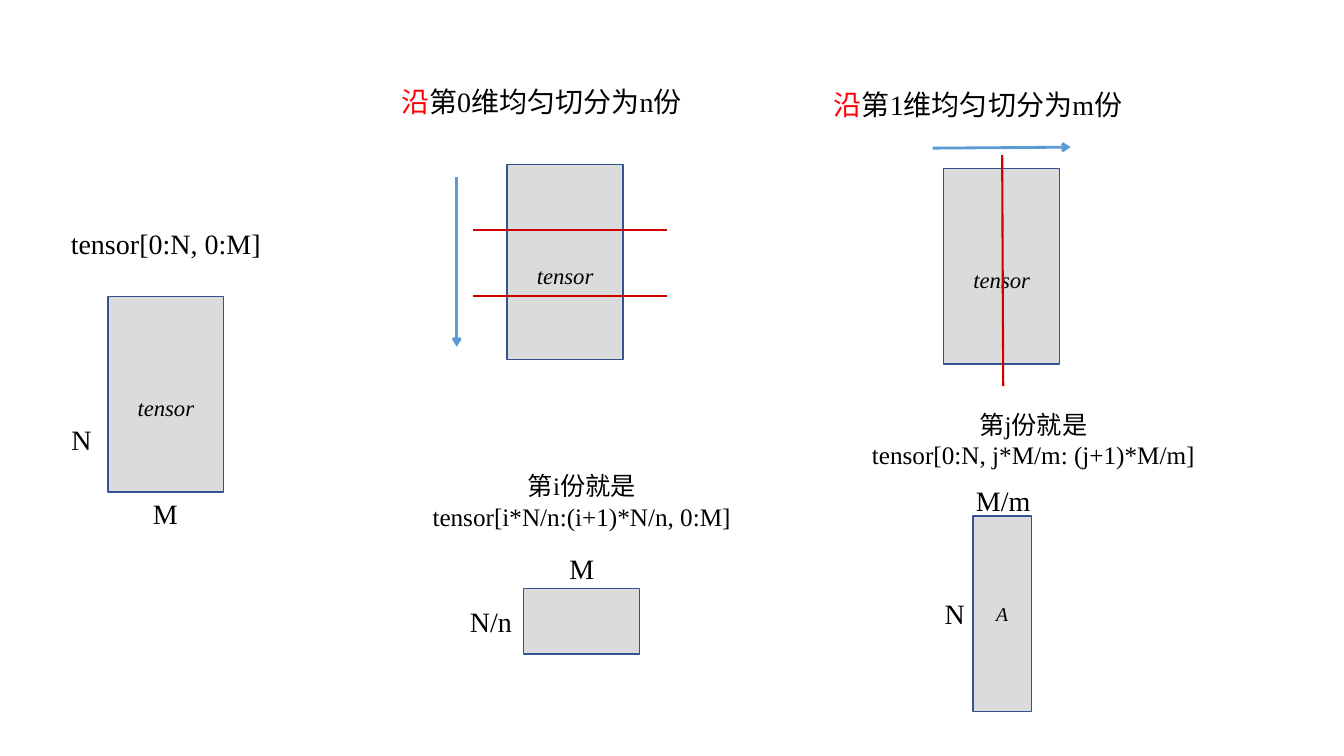
from dataclasses import dataclass

from pptx import Presentation
from pptx import util as u
from pptx.dml.color import RGBColor
from pptx.enum import shapes, text
from pptx.oxml import parse_xml
from pptx.oxml.ns import nsdecls

PX = 9144


@dataclass(frozen=True)
class Theme:
    font: str = "Times New Roman"
    ink: str = "000000"
    accent: str = "FF0000"
    box_fill: str = "DBDBDB"
    box_line: str = "325491"
    cut: str = "CC0000"
    arrow: str = "5B9BD5"
    label_size: int = 20
    caption_size: int = 18
    tensor_size: int = 28
    part_size: int = 14


@dataclass(frozen=True)
class Box:
    x: int
    y: int
    w: int = 115
    h: int = 194
    name: str = ""
    size: int = 0
    baseline: int = 0


@dataclass(frozen=True)
class Label:
    center: int
    y: int
    words: str
    lead: str = ""
    w: int = 80
    h: int = 44
    size: int = 20
    wrap: bool = True


@dataclass(frozen=True)
class Line:
    x1: int
    y1: int
    x2: int
    y2: int
    color: str
    width: float
    arrow: bool = False


THEME = Theme()


def px(n: int) -> u.Emu:
    return u.Emu(n * PX)


def rgb(color: str) -> RGBColor:
    return RGBColor.from_string(color)


def style(p, size: int, italic: bool = False) -> None:
    p.alignment = text.PP_ALIGN.CENTER
    p.font.name = THEME.font
    p.font.size = u.Pt(size)
    p.font.italic = italic
    p.font.color.rgb = rgb(THEME.ink)


def draw_box(s, box: Box) -> None:
    sp = s.shapes.add_shape(
        shapes.MSO_SHAPE.RECTANGLE, px(box.x), px(box.y), px(box.w), px(box.h)
    )
    sp.shadow.inherit = False
    sp.fill.solid()
    sp.fill.fore_color.rgb = rgb(THEME.box_fill)
    sp.line.color.rgb = rgb(THEME.box_line)
    sp.line.width = u.Pt(1)
    if not box.name:
        return
    tf = sp.text_frame
    tf.vertical_anchor = text.MSO_ANCHOR.MIDDLE
    p = tf.paragraphs[0]
    style(p, box.size, italic=True)
    r = p.add_run()
    r.text = box.name
    r.font.color.rgb = rgb(THEME.ink)
    if box.baseline:
        r.font._element.set("baseline", str(box.baseline * 1000))


def draw_label(s, label: Label) -> None:
    sp = s.shapes.add_textbox(
        px(label.center - label.w // 2), px(label.y), px(label.w), px(label.h)
    )
    tf = sp.text_frame
    tf.word_wrap = label.wrap
    p = tf.paragraphs[0]
    style(p, label.size)
    if label.lead:
        r = p.add_run()
        r.text = label.lead
        r.font.color.rgb = rgb(THEME.accent)
    for i, words in enumerate(label.words.split("\n")):
        if i:
            p.add_line_break()
        p.add_run().text = words


def draw_line(s, line: Line) -> None:
    c = s.shapes.add_connector(
        shapes.MSO_CONNECTOR.STRAIGHT,
        px(line.x1), px(line.y1), px(line.x2), px(line.y2),
    )
    c.line.color.rgb = rgb(line.color)
    c.line.width = u.Pt(line.width)
    if line.arrow:
        ln = c.line._get_or_add_ln()
        ln.append(parse_xml(f'<a:tailEnd {nsdecls("a")} type="arrow"/>'))
    c._element.spPr.append(parse_xml(f'<a:effectLst {nsdecls("a")}/>'))


def tensor(x: int, y: int) -> Box:
    return Box(x, y, name="tensor", size=THEME.tensor_size, baseline=-25)


def heading(center: int, y: int, words: str) -> Label:
    return Label(center, y, words, lead="沿", w=400, size=THEME.label_size)


def caption(center: int, y: int, w: int, words: str) -> Label:
    return Label(center, y, words, w=w, h=71, size=THEME.caption_size, wrap=False)


BOXES = [
    tensor(107, 294),
    tensor(503, 163),
    tensor(936, 167),
    Box(519, 584, h=65),
    Box(965, 512, w=58, name="A", size=THEME.part_size),
]

LABELS = [
    Label(164, 220, "tensor[0:N, 0:M]", w=255),
    Label(81, 414, "N"),
    Label(164, 488, "M"),
    heading(537, 79, "第0维均匀切分为n份"),
    caption(577, 462, 316, "第i份就是\ntensor[i*N/n:(i+1)*N/n, 0:M]"),
    Label(487, 595, "N/n"),
    Label(577, 542, "M"),
    heading(970, 82, "第1维均匀切分为m份"),
    caption(1025, 401, 340, "第j份就是\ntensor[0:N, j*M/m: (j+1)*M/m]"),
    Label(995, 475, "M/m"),
    Label(947, 587, "N"),
]

LINES = [
    Line(453, 176, 453, 344, THEME.arrow, 2, arrow=True),
    Line(925, 147, 1062, 146, THEME.arrow, 2, arrow=True),
    *(Line(469, y, 662, y, THEME.cut, 1.5) for y in (228, 294)),
    Line(994, 154, 995, 383, THEME.cut, 1.5),
]


def main() -> None:
    prs = Presentation()
    prs.slide_width = px(1333)
    prs.slide_height = px(750)
    s = prs.slides.add_slide(prs.slide_layouts[6])
    for box in BOXES:
        draw_box(s, box)
    for label in LABELS:
        draw_label(s, label)
    for line in LINES:
        draw_line(s, line)
    prs.save("out.pptx")


if __name__ == "__main__":
    main()
